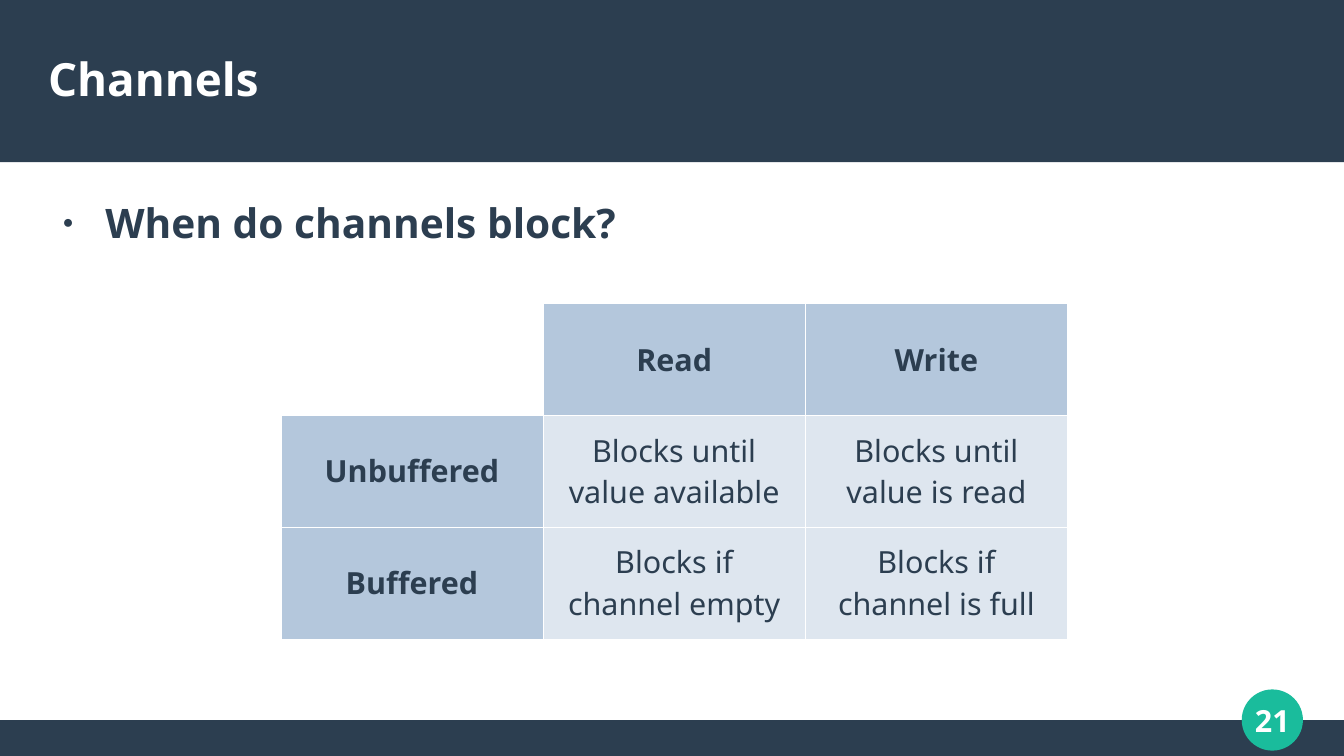
"""Build a slide on when channels block."""
from dataclasses import dataclass

from lxml import etree
from pptx import Presentation
from pptx.dml import color as dml
from pptx.enum import shapes, text
from pptx.oxml import ns
from pptx.util import Pt

FONT = "Noto Sans"
HUES = {
    "navy": "2C3E50",
    "teal": "1ABC9C",
    "white": "FFFFFF",
    "head": "B4C7DC",
    "cell": "DEE6EF",
}
WIDE, HIGH = 793.44, 446.4


@dataclass
class Box:
    left: float
    top: float
    width: float
    height: float

    def args(self) -> list[Pt]:
        return [Pt(n) for n in (self.left, self.top, self.width, self.height)]


@dataclass
class Plate:
    kind: shapes.MSO_SHAPE
    box: Box
    hue: str
    line: float = 0


PLATES = [
    Plate(shapes.MSO_SHAPE.RECTANGLE, Box(0, 425.2, WIDE, 21.2), "navy"),
    Plate(shapes.MSO_SHAPE.RECTANGLE, Box(0, 0, WIDE, 95.76), "navy"),
    Plate(shapes.MSO_SHAPE.OVAL, Box(733.5, 407.5, 35.3, 35.3), "teal", 0.85),
]
GRID = Box(165.8, 179.2, 464.4, 198)
ROWS = [
    ["", "Read", "Write"],
    ["Unbuffered", "Blocks until value available", "Blocks until value is read"],
    ["Buffered", "Blocks if channel empty", "Blocks if channel is full"],
]


def tint(name: str) -> dml.RGBColor:
    return dml.RGBColor.from_string(HUES[name])


def paint(tree, plate: Plate) -> None:
    shape = tree.add_shape(plate.kind, *plate.box.args())
    shape.shadow.inherit = False
    shape.fill.solid()
    shape.fill.fore_color.rgb = tint(plate.hue)
    if plate.line:
        shape.line.color.rgb = tint(plate.hue)
        shape.line.width = Pt(plate.line)
    else:
        shape.line.fill.background()


def style(para, size: float, hue: str, bold: bool, align: text.PP_ALIGN) -> None:
    para.alignment = align
    font = para.font
    font.name, font.size, font.bold = FONT, Pt(size), bold
    font.color.rgb = tint(hue)


def place(shape, box: Box, words: str, anchor: text.MSO_ANCHOR):
    shape.left, shape.top, shape.width, shape.height = box.args()
    frame = shape.text_frame
    frame.margin_left = frame.margin_right = 0
    frame.margin_top = frame.margin_bottom = 0
    frame.word_wrap = True
    frame.auto_size = text.MSO_AUTO_SIZE.NONE
    frame.vertical_anchor = anchor
    frame.text = words
    para = frame.paragraphs[0]
    para.space_before = Pt(0)
    return para


def bullet(para) -> None:
    props = para._p.get_or_add_pPr()
    props.set("marL", str(Pt(33.84)))
    props.set("indent", str(Pt(-25.2)))
    para.space_after = Pt(10.6)
    ink = etree.SubElement(props, ns.qn("a:buClr"))
    etree.SubElement(ink, ns.qn("a:srgbClr"), val=HUES["navy"])
    etree.SubElement(props, ns.qn("a:buSzPct"), val="45000")
    etree.SubElement(props, ns.qn("a:buChar"), char="●")


def border(cell) -> None:
    props = cell._tc.get_or_add_tcPr()
    for spot, side in enumerate("LRTB"):
        line = etree.Element(ns.qn(f"a:ln{side}"), w=str(Pt(0.06)))
        fill = etree.SubElement(line, ns.qn("a:solidFill"))
        etree.SubElement(fill, ns.qn("a:srgbClr"), val=HUES["white"])
        props.insert(spot, line)


def chart(tree) -> None:
    table = tree.add_table(len(ROWS), len(ROWS[0]), *GRID.args()).table
    table.first_row = table.horz_banding = False
    for r, row in enumerate(ROWS):
        for c, words in enumerate(row):
            cell = table.cell(r, c)
            head = r == 0 or c == 0
            cell.text = words
            cell.vertical_anchor = text.MSO_ANCHOR.MIDDLE
            cell.fill.solid()
            hue = "white" if not words else "head" if head else "cell"
            cell.fill.fore_color.rgb = tint(hue)
            border(cell)
            para = cell.text_frame.paragraphs[0]
            style(para, 18, "navy", head, text.PP_ALIGN.CENTER)


def main() -> None:
    deck = Presentation()
    deck.slide_width, deck.slide_height = Pt(WIDE), Pt(HIGH)
    slide = deck.slides.add_slide(deck.slide_layouts[1])
    tree = slide.shapes
    title, body = tree.title, slide.placeholders[1]
    for plate in PLATES:
        paint(tree, plate)
    mid, left = text.MSO_ANCHOR.MIDDLE, text.PP_ALIGN.LEFT

    spot = Box(722.7, 403.9, 56.9, 42.5)
    page = place(tree.add_textbox(*spot.args()), spot, "21", mid)
    style(page, 18, "white", True, text.PP_ALIGN.CENTER)

    for holder in (title, body):
        tree._spTree.append(holder._element)
    para = place(title, Box(28.35, 18, 737.3, 56.9), "Channels", mid)
    style(para, 27, "white", True, left)
    para = place(body, Box(28.35, 116.64, 737.3, 45.4),
                 "When do channels block?", text.MSO_ANCHOR.TOP)
    bullet(para)
    style(para, 24, "navy", True, left)

    chart(tree)
    deck.save("out.pptx")


if __name__ == "__main__":
    main()
